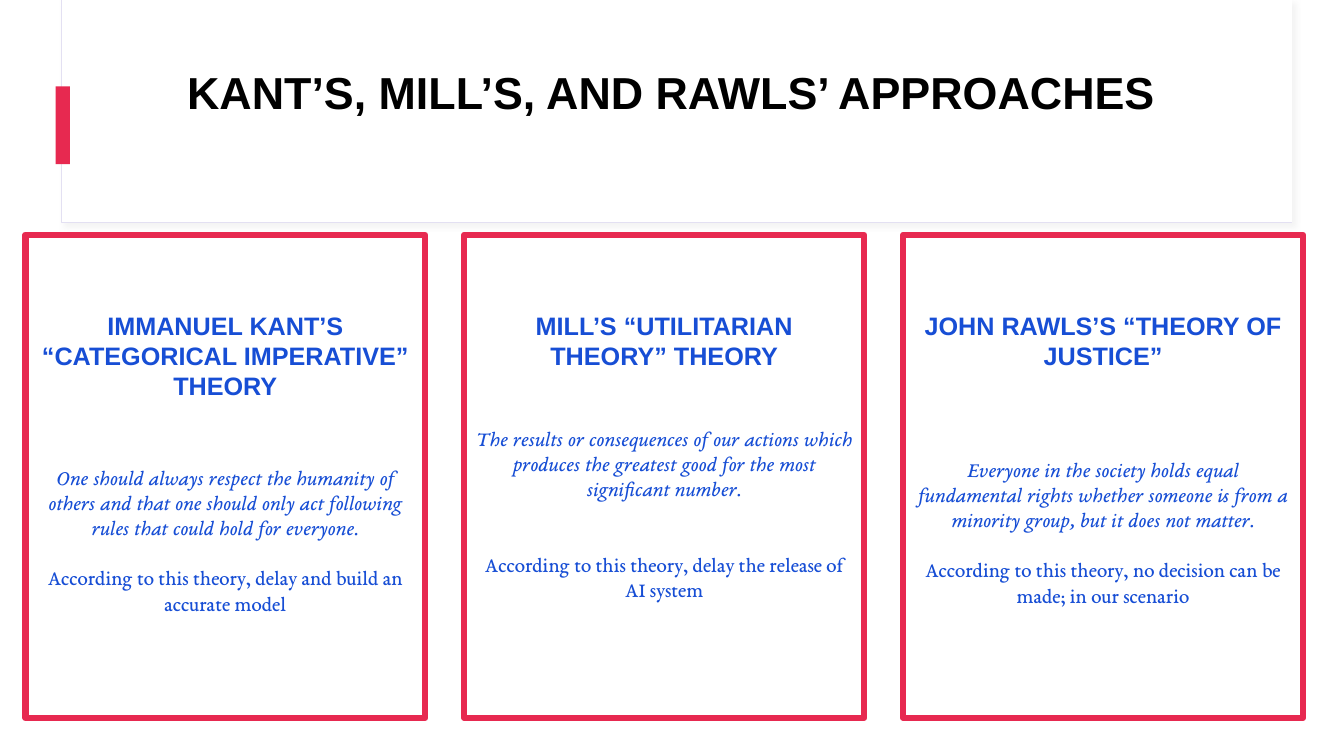
from lxml import etree
from pptx import Presentation
from pptx.dml.color import RGBColor
from pptx.enum.shapes import MSO_SHAPE
from pptx.enum.text import MSO_ANCHOR, PP_ALIGN
from pptx.oxml import parse_xml
from pptx.oxml.ns import nsdecls, qn
from pptx.util import Cm, Pt

COLORS = {
    "white": "FFFFFF",
    "black": "000000",
    "red": "E72950",
    "blue": "174ED5",
    "lavender": "E3E0F2",
    "shadow": "D9D9D9",
}

# Column geometry in centimetres
COLUMN_LEFT, COLUMN_STEP, COLUMN_WIDTH = 0.64, 11.06, 10.08
COLUMN_TOP, COLUMN_HEIGHT = 5.92, 12.17
BODY_HEIGHT = 6.68

# Heading, theory, verdict, top of the body text (cm), gap before the verdict (pt)
THEORIES = [
    ("IMMANUEL KANT’S “CATEGORICAL IMPERATIVE” THEORY",
     "One should always respect the humanity of others and that one should "
     "only act following rules that could hold for everyone.",
     "According to this theory, delay and build an accurate model",
     10.26, 18),
    ("MILL’S “UTILITARIAN THEORY” THEORY",
     "The results or consequences of our actions which produces the greatest "
     "good for the most significant number.",
     "According to this theory, delay the release of AI system",
     9.6, 36),
    ("JOHN RAWLS’S “THEORY OF JUSTICE”",
     "Everyone in the society holds equal fundamental rights whether someone "
     "is from a minority group, but it does not matter.",
     "According to this theory, no decision can be made; in our scenario",
     10.06, 18),
]


def color(name):
    return RGBColor.from_string(COLORS[name])


def add_rectangle(slide, left, top, width, height, fill=None, line=None, weight=0.75):
    shape = slide.shapes.add_shape(
        MSO_SHAPE.RECTANGLE, Cm(left), Cm(top), Cm(width), Cm(height))
    shape.shadow.inherit = False
    if fill:
        shape.fill.solid()
        shape.fill.fore_color.rgb = color(fill)
    else:
        shape.fill.background()
    if line:
        shape.line.color.rgb = color(line)
        shape.line.width = Pt(weight)
        etree.SubElement(shape.line._get_or_add_ln(), qn("a:round"))
    else:
        shape.line.fill.background()
    return shape


def add_soft_shadow(shape):
    effects = shape._element.spPr.find(qn("a:effectLst"))
    effects.append(parse_xml(
        f'<a:outerShdw {nsdecls("a")} blurRad="{Pt(4)}" dist="{Pt(3)}" dir="2700000">'
        f'<a:srgbClr val="{COLORS["shadow"]}"><a:alpha val="30000"/></a:srgbClr>'
        '</a:outerShdw>'))


def set_frame(shape, anchor=MSO_ANCHOR.TOP, top_inset=0.13):
    frame = shape.text_frame
    frame.word_wrap = True
    frame.vertical_anchor = anchor
    frame.margin_left = frame.margin_right = Cm(0.25)
    frame.margin_top, frame.margin_bottom = Cm(top_inset), Cm(0.13)
    return frame


def write(paragraph, text, font, size, color_name, bold=False, italic=False):
    paragraph.alignment = PP_ALIGN.CENTER
    run = paragraph.add_run()
    run.text = text
    run.font.name = font
    run.font.size = Pt(size)
    run.font.bold = bold
    run.font.italic = italic
    run.font.color.rgb = color(color_name)


def add_text_box(slide, left, top, width, height, anchor=MSO_ANCHOR.TOP):
    box = slide.shapes.add_textbox(Cm(left), Cm(top), Cm(width), Cm(height))
    return set_frame(box, anchor)


def add_title(slide, text):
    card = add_rectangle(slide, 1.55, 0, 31.01, 5.61, "white", "lavender")
    add_soft_shadow(card)
    add_rectangle(slide, 1.57, 0, 30.99, 5.59, "white")
    add_rectangle(slide, 1.4, 2.18, 0.36, 1.96, "red")
    frame = add_text_box(slide, 1.73, 1.5, 30.38, 2.13)
    write(frame.paragraphs[0], text, "Arial", 32, "black", bold=True)


def add_theory(slide, left, heading, theory, verdict, body_top, gap):
    # Outlined card with heading
    card = add_rectangle(slide, left, COLUMN_TOP, COLUMN_WIDTH, COLUMN_HEIGHT,
                         line="red", weight=4.5)
    frame = set_frame(card, top_inset=1.9)
    write(frame.paragraphs[0], heading, "Arial", 18, "blue", bold=True)

    # Theory and what follows from it
    body = add_text_box(slide, left, body_top, COLUMN_WIDTH, BODY_HEIGHT,
                        MSO_ANCHOR.MIDDLE)
    write(body.paragraphs[0], theory, "EB Garamond", 15, "blue", italic=True)
    paragraph = body.add_paragraph()
    paragraph.space_before = Pt(gap)
    write(paragraph, verdict, "EB Garamond", 15, "blue")


def main():
    presentation = Presentation()
    presentation.slide_width, presentation.slide_height = Cm(33.87), Cm(19.05)
    slide = presentation.slides.add_slide(presentation.slide_layouts[6])

    add_title(slide, "KANT’S, MILL’S, AND RAWLS’ APPROACHES")
    for index, theory in enumerate(THEORIES):
        add_theory(slide, COLUMN_LEFT + index * COLUMN_STEP, *theory)

    presentation.save("out.pptx")


if __name__ == "__main__":
    main()
